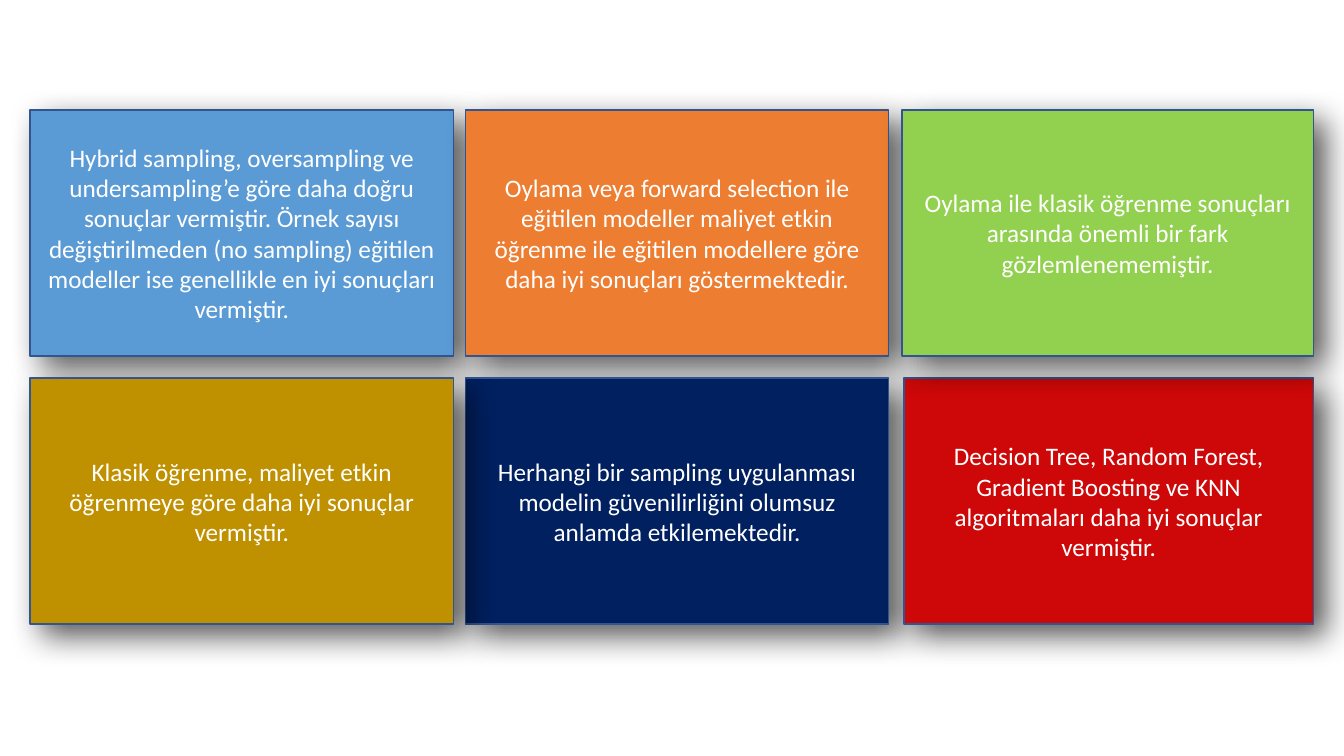
"""Builds a slide of six coloured cards with the findings of a model comparison."""
from lxml import etree
from pptx import Presentation
from pptx.dml.color import RGBColor
from pptx.enum.shapes import MSO_SHAPE
from pptx.enum.text import MSO_ANCHOR, PP_ALIGN
from pptx.oxml.ns import qn
from pptx.util import Cm, Pt

RECTANGLE = MSO_SHAPE.RECTANGLE
MIDDLE = MSO_ANCHOR.MIDDLE
CENTER = PP_ALIGN.CENTER

BLUE = RGBColor(0x5B, 0x9B, 0xD5)
ORANGE = RGBColor(0xED, 0x7D, 0x31)
NAVY = RGBColor(0x00, 0x20, 0x60)
RED = RGBColor(0xCE, 0x08, 0x08)
GOLD = RGBColor(0xBF, 0x90, 0x00)
GREEN = RGBColor(0x92, 0xD0, 0x50)
BORDER = RGBColor(0x32, 0x54, 0x91)
WHITE = RGBColor(0xFF, 0xFF, 0xFF)

LEFT, MID, RIGHT_EDGE = 0.76, 11.73, 33.1
TOP, BOTTOM = 2.77, 9.53
WIDTH, HEIGHT = 10.67, 6.2
GREEN_LEFT, RED_LEFT = 22.73, 22.78

FINDINGS = [
    (LEFT, TOP, WIDTH, BLUE,
     "Hybrid sampling, oversampling ve undersampling’e göre daha doğru sonuçlar vermiştir. "
     "Örnek sayısı değiştirilmeden (no sampling) eğitilen modeller ise genellikle "
     "en iyi sonuçları vermiştir."),
    (MID, TOP, WIDTH, ORANGE,
     "Oylama veya forward selection ile eğitilen modeller maliyet etkin öğrenme ile "
     "eğitilen modellere göre daha iyi sonuçları göstermektedir."),
    (MID, BOTTOM, WIDTH, NAVY,
     "Herhangi bir sampling uygulanması modelin güvenilirliğini olumsuz anlamda "
     "etkilemektedir."),
    (RED_LEFT, BOTTOM, RIGHT_EDGE - RED_LEFT, RED,
     "Decision Tree, Random Forest, Gradient Boosting ve KNN algoritmaları daha iyi "
     "sonuçlar vermiştir."),
    (LEFT, BOTTOM, WIDTH, GOLD,
     "Klasik öğrenme, maliyet etkin öğrenmeye göre daha iyi sonuçlar vermiştir."),
    (GREEN_LEFT, TOP, RIGHT_EDGE - GREEN_LEFT, GREEN,
     "Oylama ile klasik öğrenme sonuçları arasında önemli bir fark gözlemlenememiştir."),
]


class FindingsSlide:
    def __init__(self, slide):
        self.slide = slide
        self.font_style = {"name": "Calibri", "size": Pt(18)}
        self.frame_style = {"word_wrap": True, "vertical_anchor": MIDDLE}
        self.shadow_style = {"blurRad": Pt(23), "dist": Pt(11), "dir": 45 * 60000,
                             "algn": "tl", "rotWithShape": 0}

    def apply(self, target, style):
        for attribute, value in style.items():
            setattr(target, attribute, value)

    def cast_shadow(self, card):
        card.shadow.inherit = False
        effects = card._element.spPr.find(qn("a:effectLst"))
        shadow = etree.SubElement(effects, qn("a:outerShdw"))
        for attribute, value in self.shadow_style.items():
            shadow.set(attribute, str(value))
        tint = etree.SubElement(shadow, qn("a:srgbClr"), val="000000")
        etree.SubElement(tint, qn("a:alpha"), val="65000")

    def card(self, left, top, width, color, finding):
        card = self.slide.shapes.add_shape(
            RECTANGLE, Cm(left), Cm(top), Cm(width), Cm(HEIGHT))
        card.fill.solid()
        card.fill.fore_color.rgb = color
        card.line.color.rgb = BORDER
        card.line.width = Pt(1)
        self.cast_shadow(card)
        self.apply(card.text_frame, self.frame_style)
        paragraph = card.text_frame.paragraphs[0]
        paragraph.alignment = CENTER
        wording = paragraph.add_run()
        wording.text = finding
        self.apply(wording.font, self.font_style)
        wording.font.color.rgb = WHITE


def main():
    deck = Presentation()
    deck.slide_width, deck.slide_height = Cm(33.87), Cm(19.05)
    findings = FindingsSlide(deck.slides.add_slide(deck.slide_layouts[6]))
    for finding in FINDINGS:
        findings.card(*finding)
    deck.save("out.pptx")


if __name__ == "__main__":
    main()
